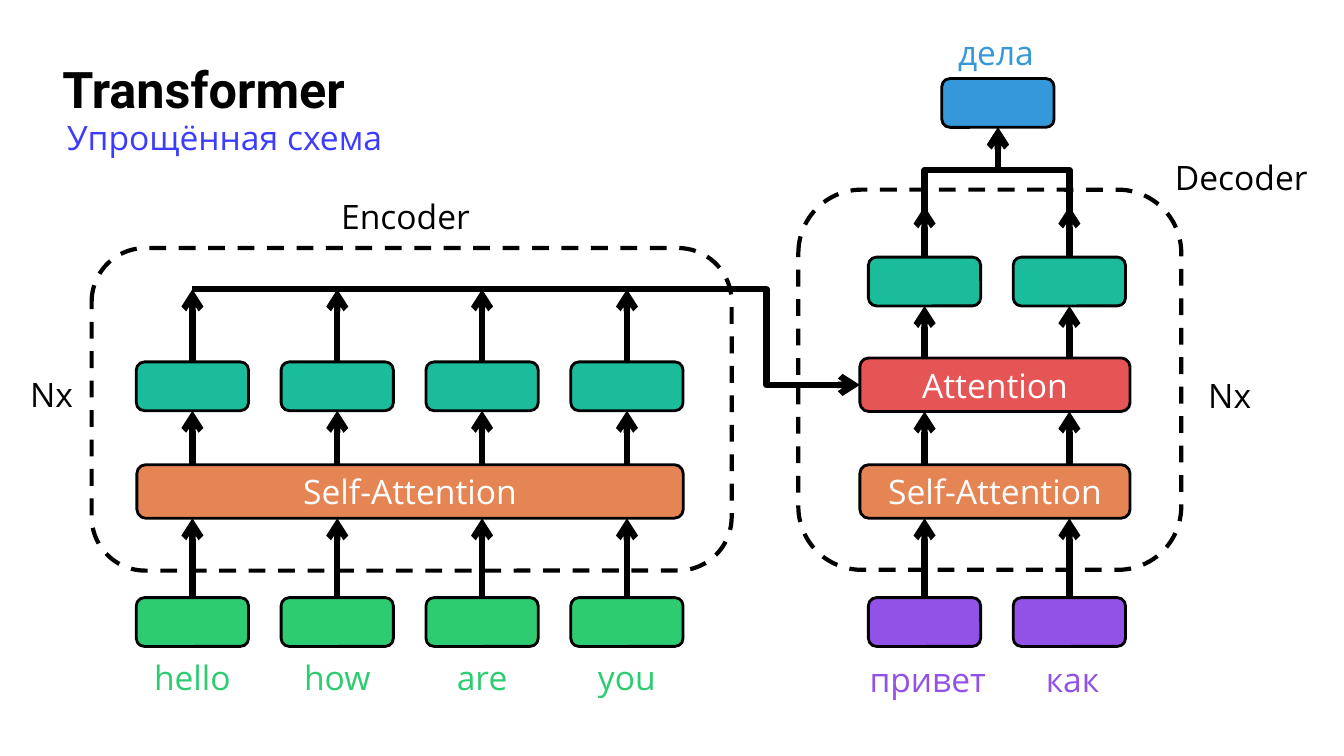
from lxml import etree
from pptx import Presentation
from pptx.dml.color import RGBColor
from pptx.enum.dml import MSO_LINE
from pptx.enum.shapes import MSO_CONNECTOR, MSO_SHAPE
from pptx.enum.text import MSO_ANCHOR, PP_ALIGN
from pptx.oxml.ns import qn
from pptx.util import Cm, Pt

ROUNDED = MSO_SHAPE.ROUNDED_RECTANGLE
STRAIGHT, ELBOW = MSO_CONNECTOR.STRAIGHT, MSO_CONNECTOR.ELBOW
DASH = MSO_LINE.DASH
MIDDLE = MSO_ANCHOR.MIDDLE
LEFT, CENTER = PP_ALIGN.LEFT, PP_ALIGN.CENTER

BLACK = RGBColor(0x00, 0x00, 0x00)
WHITE = RGBColor(0xFF, 0xFF, 0xFF)
GREEN = RGBColor(0x2E, 0xCC, 0x71)
PURPLE = RGBColor(0x92, 0x52, 0xE8)
BLUE = RGBColor(0x34, 0x98, 0xDB)
TEAL = RGBColor(0x1A, 0xBC, 0x9C)
ORANGE = RGBColor(0xE6, 0x85, 0x54)
RED = RGBColor(0xE5, 0x55, 0x55)
INDIGO = RGBColor(0x3D, 0x3B, 0xFF)

PITCH = 3.65
ENCODER_COLUMNS = [4.85 + PITCH * i for i in range(4)]
DECODER_COLUMNS = [23.3 + PITCH * i for i in range(2)]
OUTPUT_X = 25.15
CELL_W, CELL_H, LAYER_H = 2.83, 1.23, 1.35
TOKEN_Y, SELF_ATTENTION_Y, ATTENTION_Y = 15.06, 11.71, 9.02
ENCODED_Y, DECODED_Y, OUTPUT_Y = 9.12, 6.48, 1.98
BUS_Y = 7.29


class Diagram:
    """Draws the boxes, labels and arrows of a network diagram on one slide."""

    font, heading_font = "Open Sans", "Roboto"
    size, heading_size = 24, 36
    outline, frame_line, arrow_line = 2, 3, 4.5

    def __init__(self, slide):
        self.shapes = slide.shapes

    def add_text(self, frame, text, color, font, size, align=CENTER, bold=False):
        frame.word_wrap = True
        paragraph = frame.paragraphs[0]
        paragraph.alignment = align
        run = paragraph.add_run()
        run.text = text
        run.font.name = font
        run.font.size = Pt(size)
        run.font.bold = bold
        run.font.color.rgb = color
        return paragraph

    def heading(self, text, x, y, width, height):
        frame = self.shapes.add_textbox(Cm(x), Cm(y), Cm(width), Cm(height)).text_frame
        frame.vertical_anchor = MIDDLE
        paragraph = self.add_text(frame, text, BLACK, self.heading_font,
                                  self.heading_size, LEFT, True)
        paragraph.line_spacing = 0.9

    def label(self, text, center, y, color=BLACK, width=3.86):
        box = self.shapes.add_textbox(Cm(center - width / 2), Cm(y), Cm(width), Cm(1.27))
        self.add_text(box.text_frame, text, color, self.font, self.size)

    def rounded(self, x, y, width, height, weight):
        shape = self.shapes.add_shape(ROUNDED, Cm(x), Cm(y), Cm(width), Cm(height))
        shape.shadow.inherit = False
        shape.line.color.rgb = BLACK
        shape.line.width = Pt(weight)
        return shape

    def block(self, x, y, width, height, color):
        shape = self.rounded(x, y, width, height, self.outline)
        shape.fill.solid()
        shape.fill.fore_color.rgb = color
        return shape

    def cell(self, center, y, color):
        self.block(center - CELL_W / 2, y, CELL_W, CELL_H, color)

    def layer(self, text, x, y, width, color):
        frame = self.block(x, y, width, LAYER_H, color).text_frame
        frame.vertical_anchor = MIDDLE
        self.add_text(frame, text, WHITE, self.font, self.size)

    def frame(self, x, y, width, height):
        shape = self.rounded(x, y, width, height, self.frame_line)
        shape.fill.background()
        shape.line.dash_style = DASH

    def arrow(self, x1, y1, x2, y2, kind=STRAIGHT):
        connector = self.shapes.add_connector(kind, Cm(x1), Cm(y1), Cm(x2), Cm(y2))
        connector.line.color.rgb = BLACK
        connector.line.width = Pt(self.arrow_line)
        properties = connector._element.spPr
        etree.SubElement(properties.find(qn("a:ln")), qn("a:tailEnd"), type="arrow")
        etree.SubElement(properties, qn("a:effectLst"))
        return properties

    def elbow(self, x1, y1, x2, y2, bend):
        properties = self.arrow(x1, y1, x2, y2, ELBOW)
        adjustments = properties.find(qn("a:prstGeom")).find(qn("a:avLst"))
        etree.SubElement(adjustments, qn("a:gd"), name="adj1",
                         fmla=f"val {round(bend * 100000)}")
        return properties

    def rising_elbow(self, x1, y1, x2, y2, bend):
        middle_x, middle_y = (x1 + x2) / 2, (y1 + y2) / 2
        half_rise, half_run = (y1 - y2) / 2, (x2 - x1) / 2
        properties = self.elbow(middle_x - half_rise, middle_y - half_run,
                                middle_x + half_rise, middle_y + half_run, bend)
        properties.find(qn("a:xfrm")).set("rot", "16200000")


def draw_encoder(diagram):
    diagram.layer("Self-Attention", 3.45, SELF_ATTENTION_Y, 13.77, ORANGE)
    for word, x in zip(("hello", "how", "are", "you"), ENCODER_COLUMNS):
        diagram.cell(x, TOKEN_Y, GREEN)
        diagram.label(word, x, 16.43, GREEN)
        diagram.cell(x, ENCODED_Y, TEAL)
        diagram.arrow(x, TOKEN_Y, x, SELF_ATTENTION_Y + LAYER_H)
        diagram.arrow(x, SELF_ATTENTION_Y, x, ENCODED_Y + CELL_H)
        diagram.arrow(x, ENCODED_Y, x, BUS_Y)
    diagram.frame(2.31, 6.25, 16.13, 8.13)
    diagram.label("Encoder", 10.22, 4.8, width=4.9)
    diagram.label("Nx", 1.3, 9.3, width=1.88)


def draw_decoder(diagram):
    left, width = 21.67, 6.81
    diagram.layer("Self-Attention", left, SELF_ATTENTION_Y, width, ORANGE)
    diagram.layer("Attention", left, ATTENTION_Y, width, RED)
    diagram.cell(OUTPUT_X, OUTPUT_Y, BLUE)
    diagram.label("дела", 25.1, 0.69, BLUE)
    for word, x in zip(("привет", "как"), DECODER_COLUMNS):
        diagram.cell(x, TOKEN_Y, PURPLE)
        diagram.label(word, x + 0.08, 16.48, PURPLE)
        diagram.cell(x, DECODED_Y, TEAL)
        diagram.arrow(x, TOKEN_Y, x, SELF_ATTENTION_Y + LAYER_H)
        diagram.arrow(x, SELF_ATTENTION_Y, x, ATTENTION_Y + LAYER_H)
        diagram.arrow(x, ATTENTION_Y, x, DECODED_Y + CELL_H)
        diagram.arrow(x, DECODED_Y, x, 5.2)
        diagram.rising_elbow(x, 5.4, OUTPUT_X, OUTPUT_Y + CELL_H, 0.51)
    diagram.elbow(ENCODER_COLUMNS[0], BUS_Y, left, 9.7, 0.86)
    diagram.frame(20.12, 4.78, 9.65, 9.58)
    diagram.label("Decoder", 31.28, 3.84, width=4.9)
    diagram.label("Nx", 30.99, 9.32, width=1.88)


def main():
    presentation = Presentation()
    presentation.slide_width, presentation.slide_height = Cm(33.87), Cm(19.05)
    diagram = Diagram(presentation.slides.add_slide(presentation.slide_layouts[6]))
    diagram.heading("Transformer", 1.32, 1.4, 32.23, 1.83)
    diagram.label("Упрощённая схема", 5.66, 2.82, INDIGO, 8.69)
    draw_encoder(diagram)
    draw_decoder(diagram)
    presentation.save("out.pptx")


if __name__ == "__main__":
    main()
